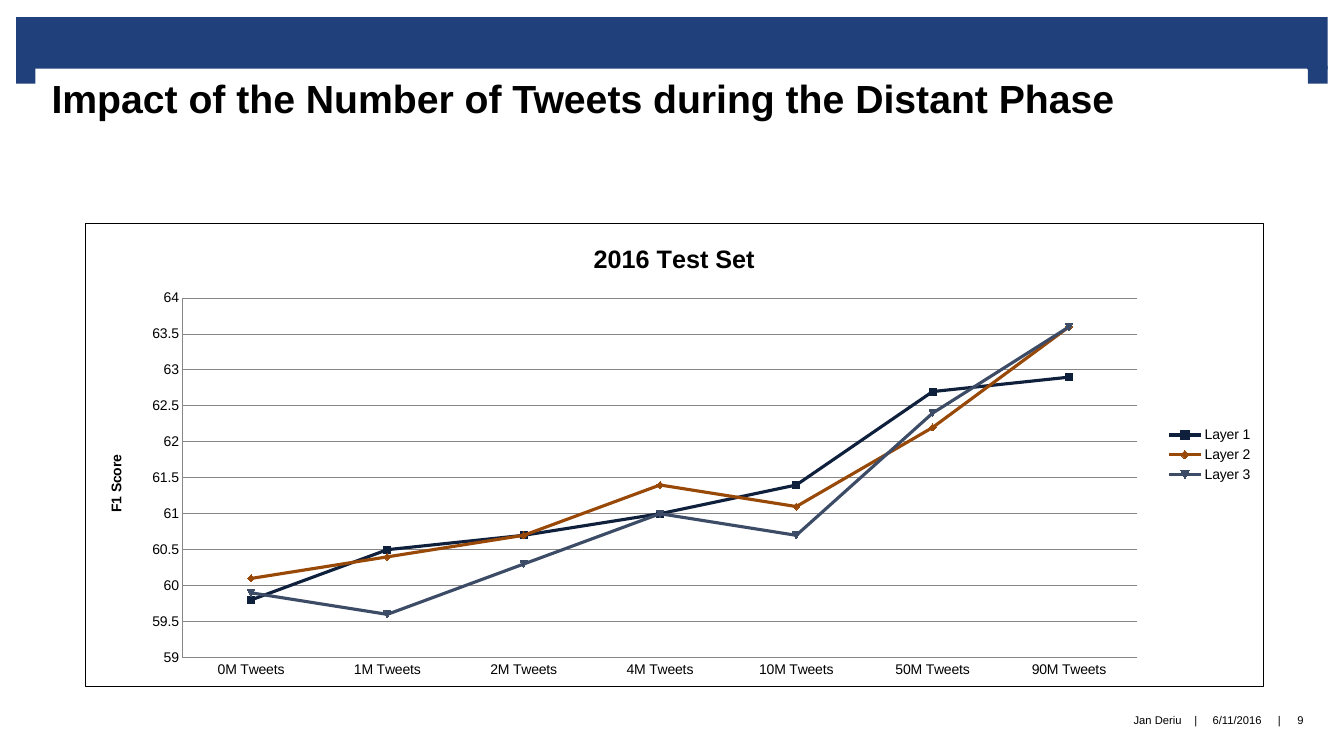
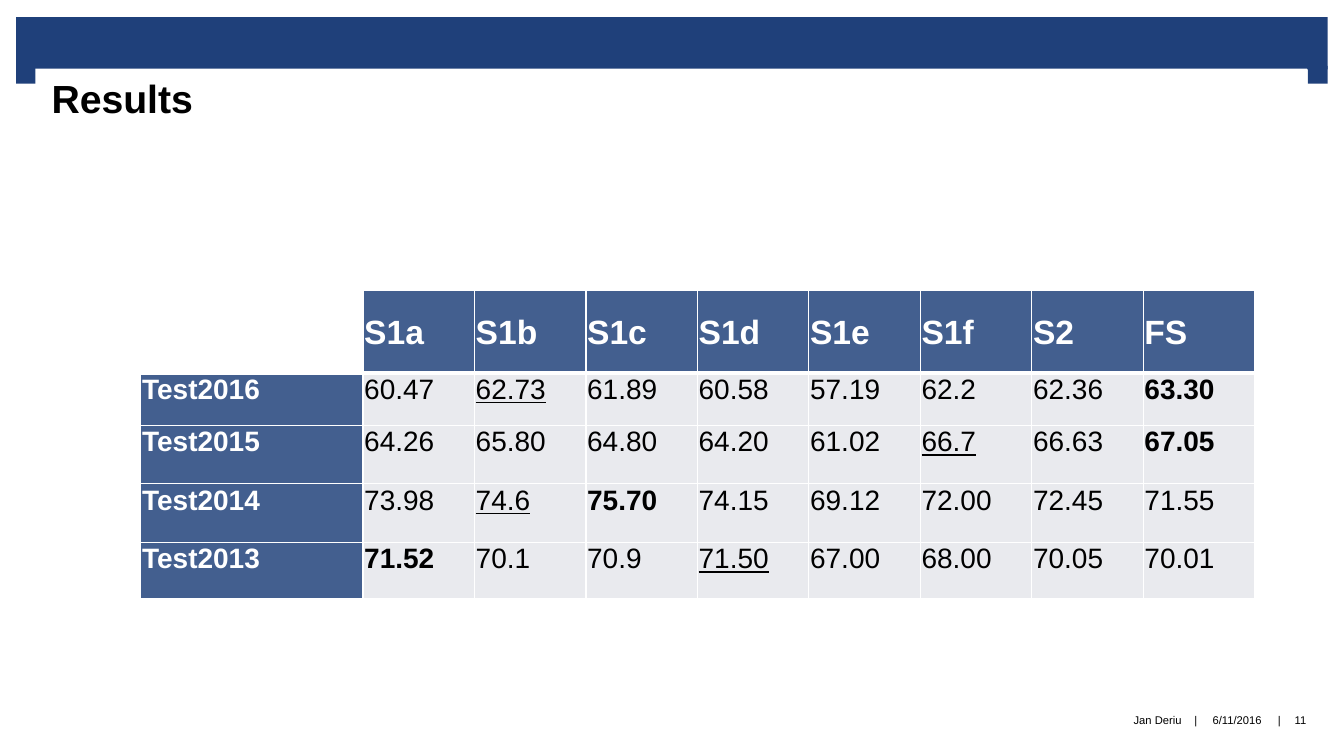
from dataclasses import dataclass

from lxml import etree
from pptx import Presentation
from pptx.chart.data import CategoryChartData
from pptx.dml.color import RGBColor as Color
from pptx.enum.chart import XL_CHART_TYPE as ChartType
from pptx.enum.chart import XL_LEGEND_POSITION as LegendPosition
from pptx.enum.chart import XL_MARKER_STYLE as MarkerStyle
from pptx.enum.chart import XL_TICK_MARK as TickMark
from pptx.enum.shapes import MSO_SHAPE as ShapeType
from pptx.enum.text import MSO_ANCHOR as Anchor
from pptx.enum.text import PP_ALIGN as Align
from pptx.oxml import parse_xml
from pptx.oxml.ns import nsdecls, qn
from pptx.util import Cm, Pt


@dataclass(frozen=True)
class Theme:
    font: str = "Arial"
    band: str = "1F407A"
    header: str = "435F8F"
    body: str = "E9EAEE"
    white: str = "FFFFFF"
    black: str = "000000"
    grid: str = "868686"
    series: tuple = ("0F203D", "984807", "3D4C66")
    title_size: int = 28
    header_size: int = 24
    body_size: int = 20
    chart_title_size: int = 18
    chart_size: int = 10
    footer_size: int = 8


@dataclass(frozen=True)
class Box:
    left: float
    top: float
    width: float
    height: float

    def inner(self, left, top, width, height):
        return Box(self.left + left, self.top + top, width, height)

    def lengths(self):
        return [Cm(value) for value in (self.left, self.top, self.width, self.height)]


THEME = Theme()
SLIDE = Box(0, 0, 33.87, 19.05)
BAND = Box(0.41, 0.43, 33.05, 1.68)
TITLE = Box(0.89, 1.73, 32.05, 2.69)
FOOTER = Box(16.9, 17.5, 16.4, 1.3)
CHART = Box(2.14, 5.62, 29.7, 11.68)
TABLE = Box(3.55, 7.32, 28.08, 7.76)

AUTHOR = "Jan Deriu"
DATE = "6/11/2016"

TWEET_COUNTS = [f"{count}M Tweets" for count in (0, 1, 2, 4, 10, 50, 90)]
LAYER_SCORES = {
    "Layer 1": (59.8, 60.5, 60.7, 61, 61.4, 62.7, 62.9),
    "Layer 2": (60.1, 60.4, 60.7, 61.4, 61.1, 62.2, 63.6),
    "Layer 3": (59.9, 59.6, 60.3, 61, 60.7, 62.4, 63.6),
}
SYSTEMS = ["S1a", "S1b", "S1c", "S1d", "S1e", "S1f", "S2", "FS"]
RESULTS = {
    "Test2016": "60.47 62.73 61.89 60.58 57.19 62.2 62.36 63.30",
    "Test2015": "64.26 65.80 64.80 64.20 61.02 66.7 66.63 67.05",
    "Test2014": "73.98 74.6 75.70 74.15 69.12 72.00 72.45 71.55",
    "Test2013": "71.52 70.1 70.9 71.50 67.00 68.00 70.05 70.01",
}
LABEL_WIDTH = 5.6
ROW_HEIGHTS = (2.08, 1.32, 1.47, 1.47, 1.42)


def apply_format(target, values):
    for name, value in values.items():
        setattr(target, name, value)


def format_font(font, size, color=THEME.black, **values):
    apply_format(font, {"name": THEME.font, "size": Pt(size), **values})
    font.color.rgb = Color.from_string(color)


def fill_solid(target, color):
    target.fill.solid()
    target.fill.fore_color.rgb = Color.from_string(color)


def margins(left, top, right, bottom):
    names = ("margin_left", "margin_top", "margin_right", "margin_bottom")
    return dict(zip(names, map(Cm, (left, top, right, bottom))))


def add_text(slide, box, text, size, align=Align.LEFT, frame_values=None, **font_values):
    shape = slide.shapes.add_textbox(*box.lengths())
    frame = shape.text_frame
    apply_format(frame, {"word_wrap": True, **(frame_values or {})})
    paragraph = frame.paragraphs[0]
    paragraph.alignment = align
    run = paragraph.add_run()
    run.text = text
    format_font(run.font, size, **font_values)
    return shape


def add_band(slide, box):
    tab_width, tab_height = 0.5, 0.45
    tab_top = box.height - tab_height
    pieces = (
        box.inner(0, 0, box.width, 1.32),
        box.inner(0, tab_top, tab_width, tab_height),
        box.inner(box.width - tab_width, tab_top, tab_width, tab_height),
    )
    for piece in pieces:
        shape = slide.shapes.add_shape(ShapeType.RECTANGLE, *piece.lengths())
        shape.shadow.inherit = False
        shape.line.fill.background()
        fill_solid(shape, THEME.band)


def add_title(slide, box, text):
    values = {"vertical_anchor": Anchor.TOP, **margins(0.41, 0.15, 0.41, 0)}
    shape = add_text(slide, box, text, THEME.title_size, frame_values=values, bold=True)
    fill_solid(shape, THEME.white)


def add_footer(slide, box, number):
    values = {"vertical_anchor": Anchor.MIDDLE, **margins(0, 0, 0, 0)}
    items = (
        (AUTHOR, 0, 12.88, Align.RIGHT),
        ("|", 13.05, 0.38, Align.CENTER),
        (DATE, 13.43, 1.7, Align.CENTER),
        ("|", 15.15, 0.38, Align.CENTER),
        (str(number), 15.38, 0.99, Align.CENTER),
    )
    for text, left, width, align in items:
        item_box = box.inner(left, 0, width, box.height)
        add_text(slide, item_box, text, THEME.footer_size, align, values)


def add_frame(presentation, title, number):
    slide = presentation.slides.add_slide(presentation.slide_layouts[6])
    add_band(slide, BAND)
    add_title(slide, TITLE, title)
    add_footer(slide, FOOTER, number)
    return slide


def set_chart_title(target, text, size):
    frame = target.text_frame
    frame.text = text
    format_font(frame.paragraphs[0].runs[0].font, size, bold=True)


def format_chart_area(chart):
    plot_area = chart._chartSpace.find(qn("c:chart")).find(qn("c:plotArea"))
    for layout in plot_area.findall(qn("c:layout")):
        plot_area.remove(layout)
    layout = parse_xml(f'<c:layout {nsdecls("c")}><c:manualLayout/></c:layout>')
    settings = {
        "layoutTarget": "inner", "xMode": "edge", "yMode": "edge",
        "x": 0.083, "y": 0.162, "w": 0.81, "h": 0.776,
    }
    for name, value in settings.items():
        etree.SubElement(layout[0], qn(f"c:{name}")).set("val", str(value))
    plot_area.insert(0, layout)
    area = parse_xml(
        f'<c:spPr {nsdecls("c", "a")}>'
        f'<a:solidFill><a:srgbClr val="{THEME.white}"/></a:solidFill>'
        f'<a:ln w="{Pt(0.25)}"><a:solidFill><a:srgbClr val="{THEME.black}"/>'
        "</a:solidFill></a:ln></c:spPr>"
    )
    chart._chartSpace.find(qn("c:chart")).addnext(area)


def add_score_chart(slide, box):
    data = CategoryChartData()
    data.categories = TWEET_COUNTS
    for name, scores in LAYER_SCORES.items():
        data.add_series(name, scores)
    chart = slide.shapes.add_chart(ChartType.LINE_MARKERS, *box.lengths(), data).chart
    format_font(chart.font, THEME.chart_size)
    set_chart_title(chart.chart_title, "2016 Test Set", THEME.chart_title_size)
    chart.chart_title.include_in_layout = False
    chart.has_legend = True
    apply_format(chart.legend, {"position": LegendPosition.RIGHT, "include_in_layout": False})
    chart.plots[0].vary_by_categories = False

    scale = {"minimum_scale": 59, "maximum_scale": 64, "major_unit": 0.5}
    apply_format(chart.value_axis, {**scale, "has_major_gridlines": True})
    set_chart_title(chart.value_axis.axis_title, "F1 Score", THEME.chart_size)
    apply_format(chart.value_axis.tick_labels, {"number_format": "General", "number_format_is_linked": False})
    for axis in (chart.category_axis, chart.value_axis):
        apply_format(axis, {"major_tick_mark": TickMark.NONE, "minor_tick_mark": TickMark.NONE})
    grid = chart.value_axis.major_gridlines
    for ruled in (grid, chart.value_axis, chart.category_axis):
        ruled.format.line.color.rgb = Color.from_string(THEME.grid)
        ruled.format.line.width = Pt(0.75)

    for series, color in zip(chart.plots[0].series, THEME.series):
        series.smooth = False
        series.format.line.color.rgb = Color.from_string(color)
        series.format.line.width = Pt(2.25)
        apply_format(series.marker, {"style": MarkerStyle.AUTOMATIC, "size": 5})
        fill_solid(series.marker.format, color)
        series.marker.format.line.color.rgb = Color.from_string(color)
    format_chart_area(chart)


def add_borders(cell, row):
    widths = {"L": 1, "R": 1, "T": 3 if row == 1 else 1, "B": 3 if row == 0 else 1}
    properties = cell._tc.get_or_add_tcPr()
    for side, width in widths.items():
        line = etree.SubElement(properties, qn(f"a:ln{side}"), w=str(Pt(width)))
        fill = etree.SubElement(line, qn("a:solidFill"))
        etree.SubElement(fill, qn("a:srgbClr"), val=THEME.white)


def format_cell(cell, row, column, text, ranking):
    is_label = row == 0 or column == 0
    add_borders(cell, row)
    if row == 0 and column == 0:
        fill_solid(cell, THEME.white)
        return
    fill_solid(cell, THEME.header if is_label else THEME.body)
    anchor = Anchor.MIDDLE if row == 0 else Anchor.TOP
    apply_format(cell, {"vertical_anchor": anchor, **margins(0.03, 0.03, 0.03, 0)})
    run = cell.text_frame.paragraphs[0].add_run()
    run.text = text
    format_font(
        run.font,
        THEME.header_size if row == 0 else THEME.body_size,
        THEME.white if is_label else THEME.black,
        bold=is_label or text == ranking[0],
        underline=not is_label and text == ranking[1],
    )


def add_result_table(slide, box):
    rows = [["", *SYSTEMS]]
    rows += [[name, *scores.split()] for name, scores in RESULTS.items()]
    table = slide.shapes.add_table(len(rows), len(rows[0]), *box.lengths()).table
    score_width = (box.width - LABEL_WIDTH) / len(SYSTEMS)
    for index, column in enumerate(table.columns):
        column.width = Cm(score_width if index else LABEL_WIDTH)
    for row, (texts, height) in enumerate(zip(rows, ROW_HEIGHTS)):
        table.rows[row].height = Cm(height)
        ranking = sorted(texts[1:], key=float, reverse=True) if row else ("", "")
        for column, text in enumerate(texts):
            format_cell(table.cell(row, column), row, column, text, ranking)


def main():
    presentation = Presentation()
    apply_format(presentation, {"slide_width": Cm(SLIDE.width), "slide_height": Cm(SLIDE.height)})
    title = "Impact of the Number of Tweets during the Distant Phase"
    add_score_chart(add_frame(presentation, title, 9), CHART)
    add_result_table(add_frame(presentation, "Results", 11), TABLE)
    presentation.save("out.pptx")


if __name__ == "__main__":
    main()
